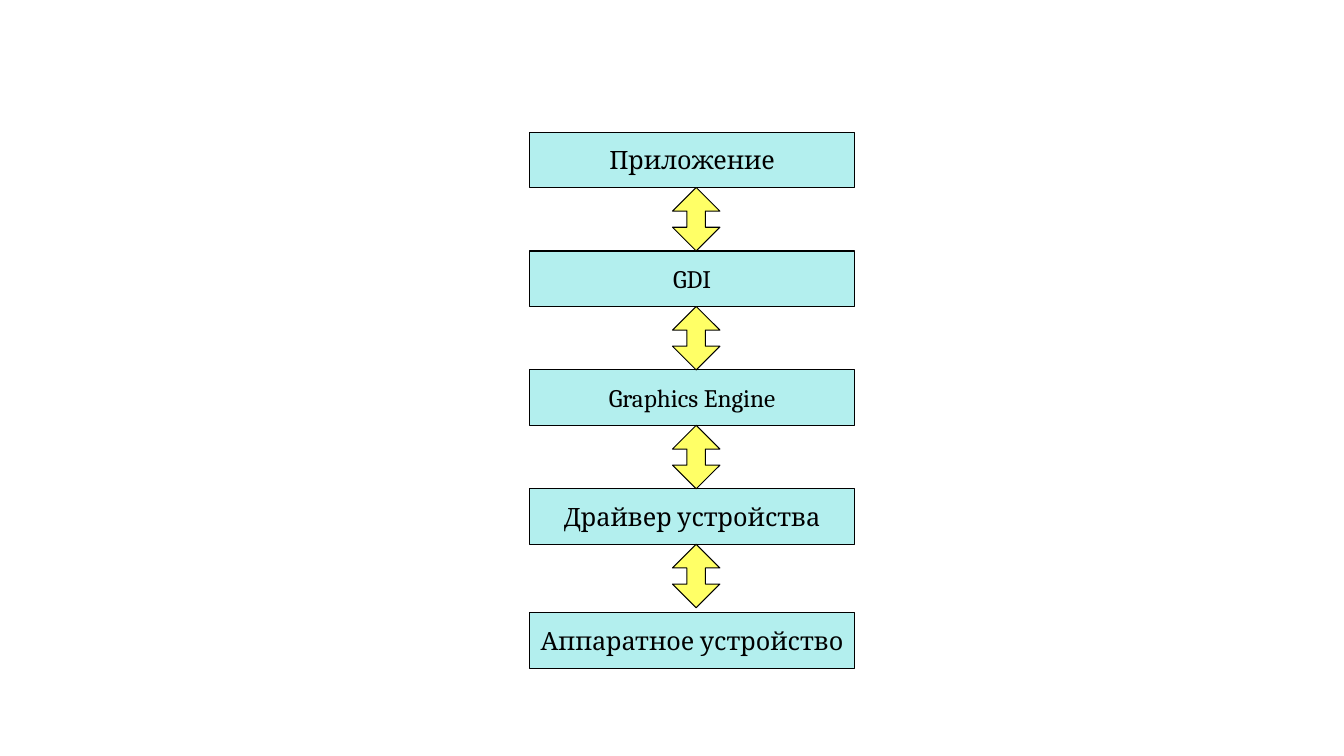
from dataclasses import dataclass

from pptx import Presentation
from pptx.dml.color import RGBColor
from pptx.enum.shapes import MSO_SHAPE
from pptx.enum.text import MSO_ANCHOR, PP_ALIGN
from pptx.util import Inches, Pt


@dataclass(frozen=True)
class Theme:
    """Colours, font and sizes of the slide."""
    layer: str = "B3EFEE"
    arrow: str = "FFFF66"
    ink: str = "000000"
    font: str = "Cambria"
    text_size: float = 18
    line_width: float = 0.75


THEME = Theme()
LAYERS = ["Приложение", "GDI", "Graphics Engine", "Драйвер устройства", "Аппаратное устройство"]
LAYER_HEIGHT = 0.55
ARROW_LEFT, ARROW_WIDTH, ARROW_HEIGHT = 1.42, 0.47, 0.63
HARDWARE_GAP = 0.05


def add_outlined(slide, preset, left, top, width, height, fill):
    """Add a filled preset shape with a thin outline."""
    outlined = slide.shapes.add_shape(
        preset, Inches(left), Inches(top), Inches(width), Inches(height))
    outlined.shadow.inherit = False
    outlined.fill.solid()
    outlined.fill.fore_color.rgb = RGBColor.from_string(fill)
    outlined.line.color.rgb = RGBColor.from_string(THEME.ink)
    outlined.line.width = Pt(THEME.line_width)
    return outlined


def add_layer(slide, label, left, top, width):
    """Add one labelled layer of the stack."""
    layer = add_outlined(slide, MSO_SHAPE.RECTANGLE, left, top, width, LAYER_HEIGHT, THEME.layer)
    frame = layer.text_frame
    frame.word_wrap = False
    frame.vertical_anchor = MSO_ANCHOR.MIDDLE
    paragraph = frame.paragraphs[0]
    paragraph.alignment = PP_ALIGN.CENTER
    run = paragraph.add_run()
    run.text = label
    run.font.name = THEME.font
    run.font.size = Pt(THEME.text_size)
    run.font.color.rgb = RGBColor.from_string(THEME.ink)


def add_exchange(slide, left, top):
    """Add a two-way arrow between neighbouring layers."""
    exchange = add_outlined(
        slide, MSO_SHAPE.UP_DOWN_ARROW, left, top, ARROW_WIDTH, ARROW_HEIGHT, THEME.arrow)
    exchange.adjustments[0] = 0.363
    exchange.adjustments[1] = 0.39


def add_stack(slide, left, top, width):
    """Stack the layers downwards and join them with arrows."""
    step = LAYER_HEIGHT + ARROW_HEIGHT
    last = len(LAYERS) - 1
    for index, label in enumerate(LAYERS):
        gap = HARDWARE_GAP if index == last else 0
        add_layer(slide, label, left, top + index * step + gap, width)
    for index in range(last):
        add_exchange(slide, left + ARROW_LEFT, top + index * step + LAYER_HEIGHT)


def main():
    """Build and save the slide."""
    presentation = Presentation()
    presentation.slide_width = Inches(13.33)
    presentation.slide_height = Inches(7.5)
    slide = presentation.slides.add_slide(presentation.slide_layouts[6])
    add_stack(slide, left=5.25, top=1.31, width=3.23)
    presentation.save("out.pptx")


if __name__ == "__main__":
    main()
